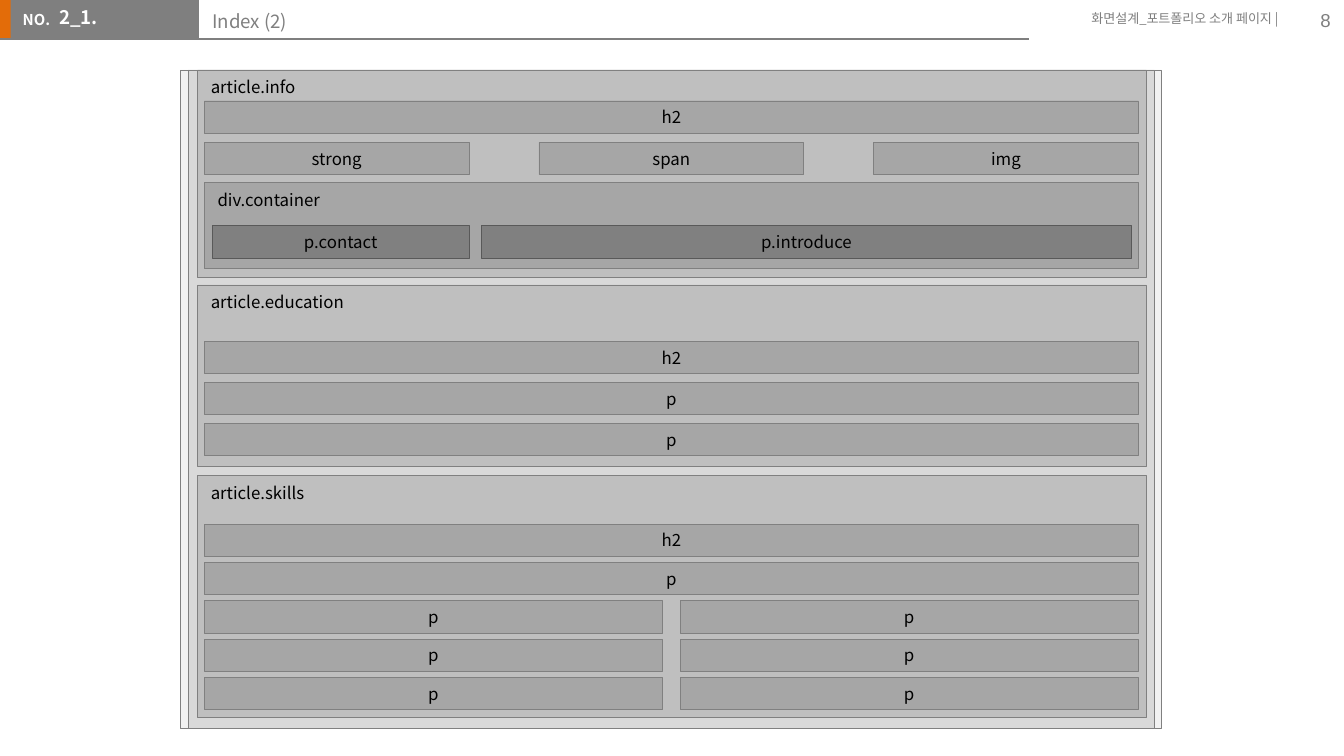
from lxml.etree import SubElement
from pptx import Presentation
from pptx.dml.color import RGBColor
from pptx.enum.shapes import MSO_CONNECTOR as Connector, MSO_SHAPE as Shape
from pptx.enum.text import MSO_ANCHOR as Anchor, MSO_AUTO_SIZE as AutoSize, PP_ALIGN as Align
from pptx.oxml.ns import qn
from pptx.util import Inches, Pt

WIDTH = 10
HEIGHT = WIDTH * 9 / 16
FONT = "Noto Sans CJK KR"
GRAY = "7F7F7F"
BORDER = "808080"
ROW_LEFT, ROW_WIDTH, ROW_HEIGHT = 1.52, 6.95, 0.24


def color(value):
    return RGBColor.from_string(value)


def apply(target, values):
    for name, value in values.items():
        setattr(target, name, value)


def place(shape, box):
    apply(shape, dict(zip(("left", "top", "width", "height"), map(Inches, box))))


def write(shape, text, size, ink="000000", align=Align.LEFT, anchor=Anchor.TOP,
          font=FONT, bold=False, inset=(0.1, 0.05, 0.1, 0.05)):
    frame = shape.text_frame
    sides = ("margin_left", "margin_top", "margin_right", "margin_bottom")
    apply(frame, dict(zip(sides, map(Inches, inset))))
    apply(frame, {"word_wrap": True, "auto_size": AutoSize.NONE, "vertical_anchor": anchor})
    paragraph = frame.paragraphs[0]
    paragraph.alignment = align
    run = paragraph.add_run()
    run.text = text
    apply(run.font, {"size": Pt(size), "bold": bold, "name": font})
    run.font.color.rgb = color(ink)
    SubElement(run.font._element, qn("a:ea"), typeface=font)


def add_label(slide, box, text, size, **style):
    shape = slide.shapes.add_textbox(*map(Inches, box))
    write(shape, text, size, **style)


def add_box(slide, box, fill, border=None, text="", **style):
    shape = slide.shapes.add_shape(Shape.RECTANGLE, *map(Inches, box))
    shape.shadow.inherit = False
    shape.fill.solid()
    shape.fill.fore_color.rgb = color(fill)
    if border:
        shape.line.color.rgb = color(border)
        shape.line.width = Pt(0.25)
    else:
        shape.line.fill.background()
    if text:
        write(shape, text, 9, **style)


def add_rule(slide, start, end):
    line = slide.shapes.add_connector(Connector.STRAIGHT, *map(Inches, start + end))
    line.line.color.rgb = color(GRAY)
    line.line.width = Pt(0.75)
    SubElement(line._element.spPr, qn("a:effectLst"))


def add_row(slide, top, labels, gap=0, shares=None, left=ROW_LEFT, width=ROW_WIDTH,
            fill="A6A6A6", border=BORDER):
    shares = shares or [1] * len(labels)
    unit = (width - gap * (len(labels) - 1)) / sum(shares)
    for label, share in zip(labels, shares):
        add_box(slide, (left, top, unit * share, ROW_HEIGHT), fill, border, label,
                align=Align.CENTER, anchor=Anchor.MIDDLE)
        left += unit * share + gap


def add_article(slide, name, top, height, first_row, last_row, rows):
    add_box(slide, (1.47, top, 7.06, height), "BFBFBF", BORDER, name)
    pitch = (last_row - first_row) / (len(rows) - 1)
    for index, (labels, gap) in enumerate(rows):
        add_row(slide, first_row + index * pitch, labels, gap)


def add_header(slide):
    add_box(slide, (-0.01, 0, 0.12, 0.29), "E36C09")
    add_box(slide, (0.08, 0, 1.4, 0.29), GRAY)
    add_label(slide, (0.07, 0.03, 0.41, 0.24), "NO.", 8, ink="FFFFFF", bold=True,
              inset=(0.1, 0.05, 0, 0.05))
    add_rule(slide, (0, 0.29), (7.66, 0.29))
    add_label(slide, (7.63, 0.03, 1.98, 0.24), "화면설계_포트폴리오 소개 페이지 |", 7,
              ink=GRAY, align=Align.RIGHT)
    add_label(slide, (9.4, 0, 0.6, 0.3), "8", 10, ink=GRAY, align=Align.RIGHT,
              anchor=Anchor.MIDDLE, font="Arial")
    title = slide.shapes.title
    place(title, (1.48, -0.03, 6.14, 0.32))
    write(title, "Index (2)", 10, ink=GRAY, inset=(0.1, 0.1, 0.1, 0.1))
    add_label(slide, (0.09, -0.06, 1.1, 0.31), "2_1.", 10, ink="FFFFFF", bold=True,
              inset=(0.35, 0.1, 0.1, 0.1))


def add_wireframe(slide):
    for left, width, fill in ((1.34, 7.3, "F2F2F2"), (1.4, 7.19, "D9D9D9")):
        add_box(slide, (left, 0.52, width, 4.9), fill, BORDER)
    add_article(slide, "article.info", 0.52, 1.54, 0.75, 1.06,
                [(["h2"], 0), (["strong", "span", "img"], 0.52)])
    add_box(slide, (ROW_LEFT, 1.36, ROW_WIDTH, 0.64), "A6A6A6", BORDER, "div.container")
    add_row(slide, 1.68, ["p.contact", "p.introduce"], 0.09, [1.91, 4.84],
            left=1.58, width=6.84, fill="808080", border="595959")
    add_article(slide, "article.education", 2.12, 1.35, 2.54, 3.15,
                [(["h2"], 0), (["p"], 0), (["p"], 0)])
    add_article(slide, "article.skills", 3.54, 1.8, 3.9, 5.04,
                [(["h2"], 0), (["p"], 0)] + [(["p", "p"], 0.13)] * 3)


def main():
    presentation = Presentation()
    apply(presentation, {"slide_width": Inches(WIDTH), "slide_height": Inches(HEIGHT)})
    slide = presentation.slides.add_slide(presentation.slide_layouts.get_by_name("Title Only"))
    add_header(slide)
    add_wireframe(slide)
    presentation.save("out.pptx")


main()
